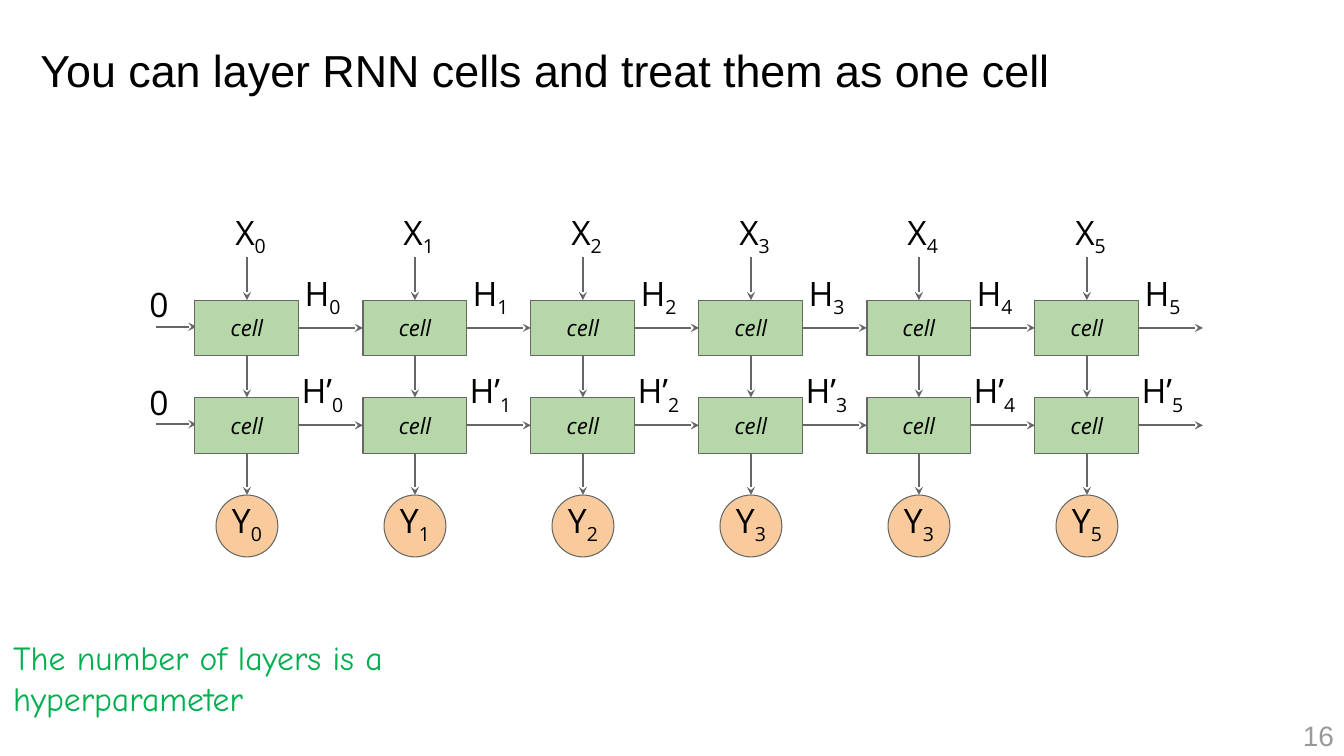
from pptx import Presentation
from pptx.dml.color import RGBColor
from pptx.enum.shapes import MSO_CONNECTOR as Connector, MSO_SHAPE as Shape
from pptx.enum.text import MSO_ANCHOR as Anchor, PP_ALIGN as Align
from pptx.oxml.ns import qn
from pptx.oxml.xmlchemy import OxmlElement
from pptx.util import Pt

TITLE = "You can layer RNN cells and treat them as one cell"
NOTE = "The number of layers is a hyperparameter"
PAGE_NUMBER = "16"
INITIAL_STATE = "0"
CELL_LABEL = "cell"
LAYER_STATES = ["H", "H’"]
STEPS = [("0", "0"), ("1", "1"), ("2", "2"), ("3", "3"), ("4", "3"), ("5", "5")]

THEME = {
    "black": "000000", "gray": "666666", "page": "999999", "note": "00B050",
    "cell": "B6D7A8", "output": "F9CB9C",
    "title_size": 32, "label_size": 24, "page_size": 20, "cell_size": 16,
    "title_font": "Arial", "label_font": "Open Sans", "note_font": "Comic Neue",
    "arrow_width": 1.5, "outline_width": 0.75,
}

FIRST_CENTER, STEP_PITCH = 176.4, 120
FIRST_TOP, LAYER_PITCH = 214.4, 69.6
CELL_WIDTH, CELL_HEIGHT = 74.2, 39.8
ARROW_DROP = 19.8
OUTPUT_TOP, OUTPUT_SIZE = 353.6, 44.2
LABEL_SIZE, LABEL_HEIGHT = 60, 41.8
STATE_WIDTH = 64
INSET = 9.4


def color(name):
    return RGBColor.from_string(THEME[name])


def write(frame, text, sub="", font="label_font", size="label_size", ink="black",
          align=Align.CENTER, anchor=Anchor.MIDDLE, insets=(INSET,) * 4,
          italic=False, spacing=None):
    frame.word_wrap = True
    frame.vertical_anchor = anchor
    frame.margin_left, frame.margin_top, frame.margin_right, frame.margin_bottom = map(Pt, insets)
    para = frame.paragraphs[0]
    para.alignment = align
    if spacing:
        para.line_spacing = spacing
    for part, baseline in ((text, None), (sub, "-25000")):
        if not part:
            continue
        span = para.add_run()
        span.text = part
        span.font.name = THEME[font]
        span.font.size = Pt(THEME[size])
        span.font.italic = italic
        span.font.color.rgb = color(ink)
        if baseline:
            span.font._element.set("baseline", baseline)


def add_text(shapes, left, top, width, height, text, **style):
    box = shapes.add_textbox(Pt(left), Pt(top), Pt(width), Pt(height))
    write(box.text_frame, text, **style)


def add_block(shapes, kind, left, top, width, height, fill):
    block = shapes.add_shape(kind, Pt(left), Pt(top), Pt(width), Pt(height))
    block.shadow.inherit = False
    block.fill.solid()
    block.fill.fore_color.rgb = color(fill)
    block.line.color.rgb = color("gray")
    block.line.width = Pt(THEME["outline_width"])
    return block


def add_arrow(shapes, x1, y1, x2, y2):
    arrow = shapes.add_connector(Connector.STRAIGHT, Pt(x1), Pt(y1), Pt(x2), Pt(y2))
    arrow.line.color.rgb = color("gray")
    arrow.line.width = Pt(THEME["arrow_width"])
    properties = arrow._element.spPr
    tip = OxmlElement("a:tailEnd")
    tip.set("type", "stealth")
    properties.find(qn("a:ln")).append(tip)
    properties.append(OxmlElement("a:effectLst"))


def add_step(shapes, center, step, output):
    left, right = center - CELL_WIDTH / 2, center + CELL_WIDTH / 2
    for layer, state in enumerate(LAYER_STATES):
        top = FIRST_TOP + layer * LAYER_PITCH
        bottom = top + CELL_HEIGHT
        cell = add_block(shapes, Shape.RECTANGLE, left, top, CELL_WIDTH, CELL_HEIGHT, "cell")
        write(cell.text_frame, CELL_LABEL, size="cell_size", italic=True)
        add_arrow(shapes, right, top + ARROW_DROP, left + STEP_PITCH, top + ARROW_DROP)
        add_arrow(shapes, center, bottom, center, top + LAYER_PITCH)
        add_text(shapes, center + 22, top - 24.2, STATE_WIDTH, LABEL_HEIGHT, state, sub=step)
    add_arrow(shapes, center, FIRST_TOP - 30.8, center, FIRST_TOP)
    add_text(shapes, center - 27.4, 137.5, LABEL_SIZE, LABEL_SIZE, "X", sub=step)
    add_block(shapes, Shape.OVAL, center - OUTPUT_SIZE / 2, OUTPUT_TOP,
              OUTPUT_SIZE, OUTPUT_SIZE, "output")
    add_text(shapes, center - LABEL_SIZE / 2, 343.4, LABEL_SIZE, LABEL_SIZE, "Y", sub=output)


def main():
    deck = Presentation()
    deck.slide_width, deck.slide_height = Pt(960), Pt(540)
    page = deck.slides.add_slide(deck.slide_layouts[6])
    shapes = page.shapes

    add_text(shapes, 0, 0, 960, 104.4, TITLE, font="title_font", size="title_size",
             align=Align.LEFT, insets=(28.8, 3.6, 7.2, 3.6), spacing=0.9)
    add_text(shapes, 744, 510.5, 216, 28.8, PAGE_NUMBER, font="title_font", size="page_size",
             ink="page", align=Align.RIGHT, insets=(7.2, 3.6, 7.2, 3.6))

    for layer in range(len(LAYER_STATES)):
        top = FIRST_TOP + layer * LAYER_PITCH
        add_arrow(shapes, 111.6, top + 19, 140.4, top + 19)
        add_text(shapes, 97.2, top - 18, 37.4, LABEL_HEIGHT, INITIAL_STATE, align=Align.LEFT)

    for index, (step, output) in enumerate(STEPS):
        column = shapes.add_group_shape()
        add_step(column.shapes, FIRST_CENTER + index * STEP_PITCH, step, output)

    add_text(shapes, 0, 445.7, 426.2, 70.6, NOTE, font="note_font", ink="note",
             align=Align.LEFT, anchor=Anchor.TOP)
    deck.save("out.pptx")


if __name__ == "__main__":
    main()
